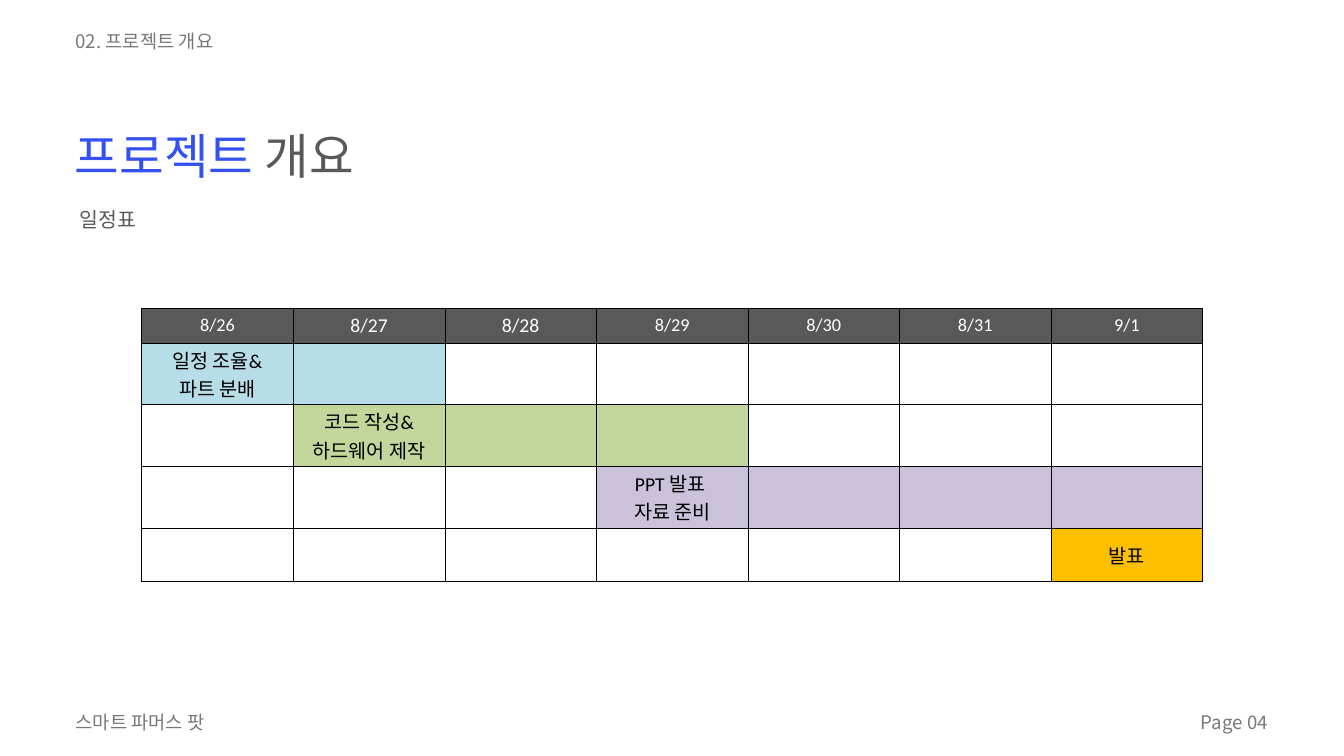
from lxml import etree
from pptx import Presentation
from pptx import util as u
from pptx.dml.color import RGBColor
from pptx.enum import text
from pptx.oxml import ns

COLORS = {
    "blue": "3452F0", "dark": "595959", "gray": "787878", "black": "000000",
    "white": "FFFFFF", "sky": "B7DEE8", "green": "C3D69B", "purple": "CCC1DA",
    "amber": "FFC000",
}
KOREAN = "Noto Sans CJK KR"
LATIN = "Calibri"


def add_run(paragraph, words, size, color, font_name=LATIN):
    run = paragraph.add_run()
    run.text = words
    for name, value in {"name": font_name, "size": u.Pt(size), "bold": False}.items():
        setattr(run.font, name, value)
    run.font.color.rgb = RGBColor.from_string(COLORS[color])
    east_asian = etree.SubElement(run.font._element, ns.qn("a:ea"))
    east_asian.set("typeface", KOREAN)


def add_borders(cell):
    properties = cell._tc.get_or_add_tcPr()
    for index, side in enumerate(("lnL", "lnR", "lnT", "lnB")):
        line = etree.Element(ns.qn(f"a:{side}"), w=str(u.Pt(1)))
        fill = etree.SubElement(line, ns.qn("a:solidFill"))
        etree.SubElement(fill, ns.qn("a:srgbClr"), val=COLORS["black"])
        properties.insert(index, line)


presentation = Presentation()
presentation.slide_width = u.Cm(67.74)
presentation.slide_height = u.Cm(38.1)
slide = presentation.slides.add_slide(presentation.slide_layouts[6])

LEFT, RIGHT = text.PP_ALIGN.LEFT, text.PP_ALIGN.RIGHT
text_boxes = [
    ((3.78, 6.1, 42.16, 3.43), (0, 0.2, 0, 0), LEFT, 1.02,
     [("프로젝트 ", 69.3, "blue"), ("개요", 69.3, "dark")]),
    ((3.78, 9.98, 23.7, 1.45), (0.25, 0.13, 0.25, 0.13), LEFT, 1.25,
     [("일정표", 29.3, "dark")]),
    ((3.81, 35.71, 8.28, 1.3), (0, 0.1, 0, 0), LEFT, 1.0,
     [("스마트 파머스 팟", 26.7, "gray")]),
    ((55.63, 35.71, 8.28, 1.3), (0, 0.1, 0, 0), RIGHT, 1.0,
     [("Page 04", 26.7, "gray", KOREAN)]),
    ((3.81, 1.42, 23.67, 1.3), (0, 0.1, 0, 0), LEFT, 1.0,
     [("02. ", 26.7, "gray", KOREAN), ("프로젝트 개요", 26.7, "gray")]),
]
for place, insets, alignment, spacing, runs in text_boxes:
    frame = slide.shapes.add_textbox(*map(u.Cm, place)).text_frame
    frame.word_wrap = True
    for side, inset in zip(("left", "top", "right", "bottom"), insets):
        setattr(frame, f"margin_{side}", u.Cm(inset))
    paragraph = frame.paragraphs[0]
    for name, value in {"alignment": alignment, "line_spacing": spacing}.items():
        setattr(paragraph, name, value)
    for run in runs:
        add_run(paragraph, *run)

dates = [("8/26", 26), ("8/27", 28), ("8/28", 28), ("8/29", 26),
         ("8/30", 26), ("8/31", 26), ("9/1", 26)]
tasks = [
    (["일정 조율&", "파트 분배"], 0, 1, "sky"),
    (["코드 작성&", "하드웨어 제작"], 1, 3, "green"),
    (["PPT 발표 ", "자료 준비"], 3, 6, "purple"),
    (["발표"], 6, 6, "amber"),
]
row_heights = [1.78, 3.1, 3.1, 3.1, 2.72]
schedule = slide.shapes.add_table(
    len(row_heights), len(dates), u.Cm(7.14), u.Cm(15.52),
    u.Cm(53.48), u.Cm(sum(row_heights))).table
for name, value in {"first_row": False, "horz_banding": False}.items():
    setattr(schedule, name, value)
for column in schedule.columns:
    column.width = u.Cm(7.64)
for row, height in zip(schedule.rows, row_heights):
    row.height = u.Cm(height)

for row_index in range(len(row_heights)):
    for column_index, (date, date_size) in enumerate(dates):
        cell = schedule.cell(row_index, column_index)
        cell.vertical_anchor = text.MSO_ANCHOR.MIDDLE
        lines, size, font_color, fill_color = [], 28, "black", None
        if row_index == 0:
            lines, size, font_color, fill_color = [date], date_size, "white", "dark"
        else:
            task_lines, first, last, task_color = tasks[row_index - 1]
            if first <= column_index <= last:
                fill_color = task_color
            if column_index == first:
                lines = task_lines
        if fill_color:
            cell.fill.solid()
            cell.fill.fore_color.rgb = RGBColor.from_string(COLORS[fill_color])
        else:
            cell.fill.background()
        add_borders(cell)
        for index, line in enumerate(lines):
            frame = cell.text_frame
            paragraph = frame.add_paragraph() if index else frame.paragraphs[0]
            paragraph.alignment = text.PP_ALIGN.CENTER
            add_run(paragraph, line, size, font_color)

presentation.save("out.pptx")
